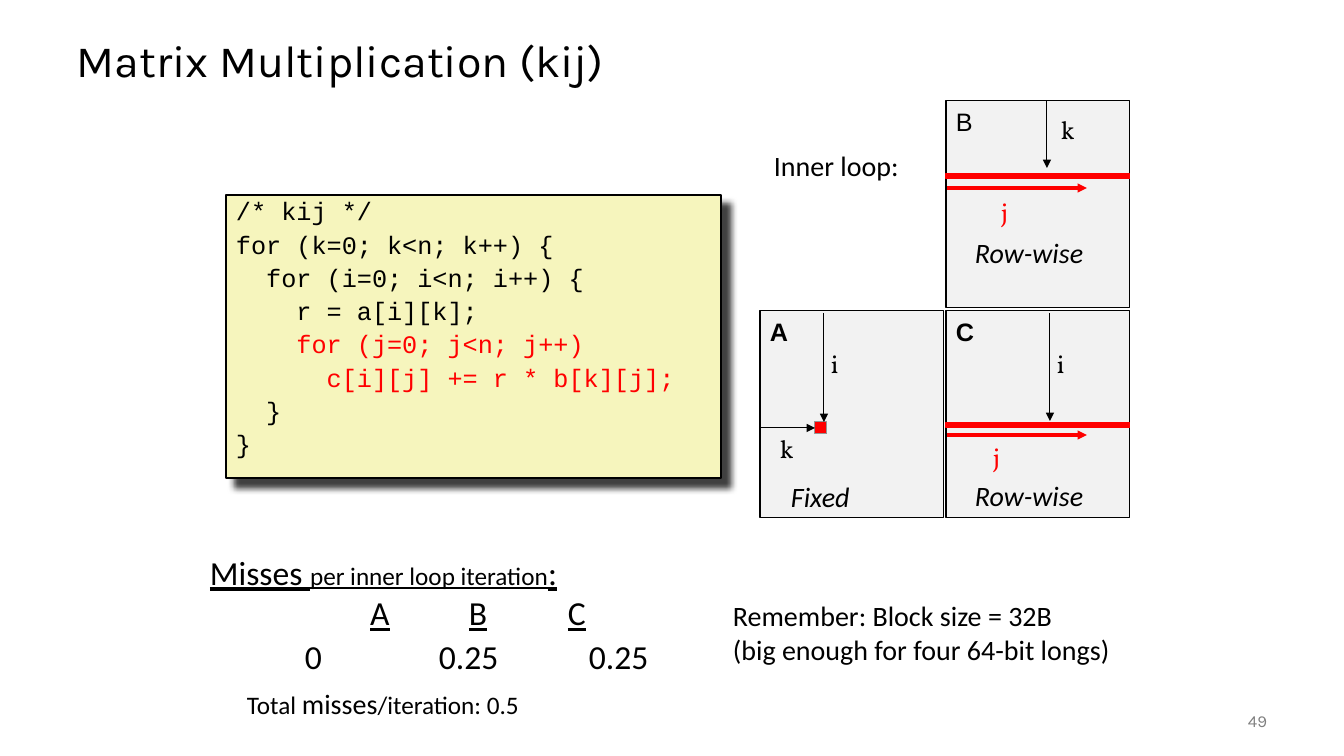
from pptx import Presentation
from pptx.dml.color import RGBColor
from pptx.enum.shapes import MSO_CONNECTOR as CONNECTOR, MSO_SHAPE as SHAPE
from pptx.enum.text import MSO_ANCHOR as ANCHOR, PP_ALIGN as ALIGN
from pptx.oxml.ns import qn
from pptx.oxml.xmlchemy import OxmlElement
from pptx.util import Emu, Pt

BLACK, RED, GREY, PANEL, PAPER = "000000", "FF0000", "808080", "F2F2F2", "F6F5BD"
BODY, HEADING, LETTER, NAME, CODE = "Calibri", "Karla", "Vollkorn", "Arial", "Courier New"


def px(value):
    return Emu(round(value * 914400 / 100.8))


def color(hex_string):
    return RGBColor.from_string(hex_string)


def add_element(parent, tag, **attributes):
    element = OxmlElement(tag)
    for key, value in attributes.items():
        element.set(key, str(value))
    parent.append(element)
    return element


class SlideBuilder:
    def __init__(self, presentation):
        self.slide = presentation.slides.add_slide(presentation.slide_layouts[6])

    def style(self, run, size, font=BODY, ink=BLACK, bold=False, italic=False, underline=False):
        run.font.size, run.font.name = Pt(size), font
        run.font.color.rgb = color(ink)
        run.font.bold, run.font.italic, run.font.underline = bold, italic, underline

    def text(self, left, top, width, height, words, size, anchor=ANCHOR.TOP, align=ALIGN.LEFT, **look):
        box = self.slide.shapes.add_textbox(px(left), px(top), px(width), px(height))
        frame = box.text_frame
        frame.word_wrap, frame.vertical_anchor = True, anchor
        frame.text = words
        for paragraph in frame.paragraphs:
            paragraph.alignment = align
            for run in paragraph.runs:
                self.style(run, size, **look)
        return frame

    def runs(self, paragraph, pieces):
        for words, size, underline in pieces:
            run = paragraph.add_run()
            run.text = words
            self.style(run, size, underline=underline)

    def tabs(self, paragraph, stops):
        tab_list = add_element(paragraph._p.get_or_add_pPr(), "a:tabLst")
        for stop in stops:
            add_element(tab_list, "a:tab", pos=px(stop), algn="ctr")

    def box(self, left, top, width, height, fill, line, weight=0.75):
        shape = self.slide.shapes.add_shape(SHAPE.RECTANGLE, px(left), px(top), px(width), px(height))
        shape.shadow.inherit = False
        shape.fill.solid()
        shape.fill.fore_color.rgb = color(fill)
        shape.line.color.rgb = color(line)
        shape.line.width = Pt(weight)
        return shape

    def panel(self, left, top, name, bold):
        shape = self.box(left, top, 184, 207, PANEL, BLACK)
        frame = shape.text_frame
        frame.vertical_anchor = ANCHOR.TOP
        frame.text = name
        paragraph = frame.paragraphs[0]
        paragraph.alignment = ALIGN.LEFT
        self.style(paragraph.runs[0], 18, font=NAME, bold=bold)

    def code(self, left, top, width, height, lines, red_lines):
        shape = self.box(left, top, width, height, PAPER, BLACK, 1)
        effects = shape._element.spPr.find(qn("a:effectLst"))
        shadow = add_element(effects, "a:outerShdw", blurRad=Pt(5), dist=Pt(8.5),
                             dir=45 * 60000, algn="tl", rotWithShape=0)
        shade = add_element(shadow, "a:srgbClr", val=BLACK)
        add_element(shade, "a:alpha", val=75000)
        frame = shape.text_frame
        frame.word_wrap, frame.vertical_anchor = True, ANCHOR.TOP
        frame.margin_top = px(10)
        frame.text = "\n".join(lines)
        for index, paragraph in enumerate(frame.paragraphs):
            paragraph.alignment = ALIGN.LEFT
            paragraph.line_spacing = 0.65
            paragraph.space_before = Pt(9.75 if index else 0)
            self.style(paragraph.runs[0], 18, font=CODE, ink=RED if index in red_lines else BLACK)

    def arrow(self, x1, y1, x2, y2, ink=BLACK, weight=0.75):
        connector = self.slide.shapes.add_connector(CONNECTOR.STRAIGHT, px(x1), px(y1), px(x2), px(y2))
        connector.line.color.rgb = color(ink)
        connector.line.width = Pt(weight)
        add_element(connector.line._get_or_add_ln(), "a:tailEnd", type="triangle")
        add_element(connector._element.spPr, "a:effectLst")
        return connector


def main():
    presentation = Presentation()
    presentation.slide_width, presentation.slide_height = px(1344), px(756)
    builder = SlideBuilder(presentation)

    # Title and page number
    title = builder.text(67, 25, 1210, 76, "Matrix Multiplication (kij)", 32, ANCHOR.MIDDLE, font=HEADING)
    title.paragraphs[0].line_spacing = 0.9
    builder.text(1176, 701, 101, 40, "49", 12, ANCHOR.MIDDLE, ALIGN.RIGHT, font=HEADING, ink=GREY)

    # Code listing
    builder.code(226, 195, 495, 283, [
        "/* kij */",
        "for (k=0; k<n; k++) {",
        "  for (i=0; i<n; i++) {",
        "    r = a[i][k];",
        "    for (j=0; j<n; j++)",
        "      c[i][j] += r * b[k][j];",
        "  }",
        "}",
    ], red_lines=(4, 5))

    # Matrix panels
    builder.text(764, 144, 150, 43, "Inner loop:", 20)
    for left, top, name, bold in ((760, 311, "A", True), (946, 101, "B", False), (946, 311, "C", True)):
        builder.panel(left, top, name, bold)

    # Rows swept by j in B and C
    for bar_top, arrow_y, j_left, j_top, caption_top in ((174, 188, 991, 191, 231), (423, 435, 983, 436, 474)):
        builder.box(946, bar_top, 184, 5, RED, RED)
        builder.arrow(947, arrow_y, 1087, arrow_y, RED, 2.25)
        builder.text(j_left, j_top, 34, 41, "j", 18, font=LETTER, ink=RED)
        builder.text(965, caption_top, 133, 43, "Row-wise", 20, italic=True)

    # Fixed element of A
    element = builder.box(815, 422, 12, 12, RED, "969696")
    builder.arrow(760, 428, 815, 428).end_connect(element, 1)
    builder.text(781, 475, 83, 43, "Fixed", 20, italic=True)

    # Index arrows and letters
    for x, y1, y2 in ((824, 313, 422), (1050, 313, 421), (1047, 101, 168)):
        builder.arrow(x, y1, x, y2)
    for left, top, letter in ((821, 343, "i"), (1047, 343, "i"), (770, 428, "k"), (1051, 109, "k")):
        builder.text(left, top, 40, 41, letter, 18, font=LETTER)

    # Misses per iteration
    misses = builder.text(200, 547, 559, 120, "", 24)
    builder.runs(misses.paragraphs[0], (("Misses ", 24, True), ("per inner loop iteration", 18, True), (":", 24, True)))
    names = misses.add_paragraph()
    builder.tabs(names, (170, 268, 367))
    for name in "ABC":
        builder.runs(names, (("\t", 24, False), (name, 24, True)))
    for left, value in ((295, "0"), (429, "0.25"), (579, "0.25")):
        builder.text(left, 631, 90, 50, value, 24)
    total = builder.text(200, 682, 350, 44, "", 18).paragraphs[0]
    total._p.get_or_add_pPr().set("marL", str(px(37)))
    builder.runs(total, (("Total ", 18, False), ("misses", 20, False), ("/iteration: 0.5", 18, False)))

    # Reminder
    builder.text(723, 594, 420, 78, "Remember: Block size = 32B\v(big enough for four 64-bit longs)", 20)

    presentation.save("out.pptx")


if __name__ == "__main__":
    main()
